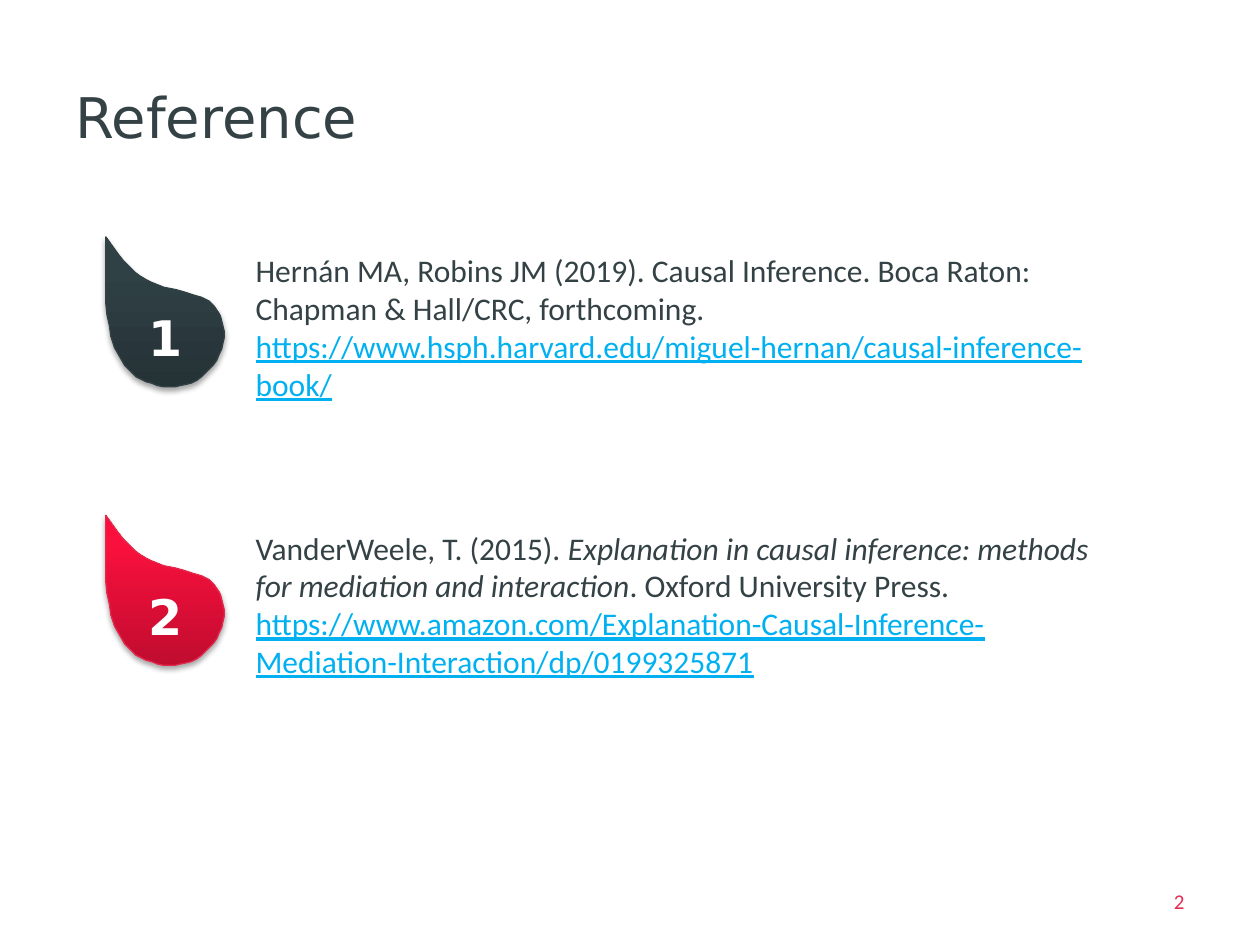
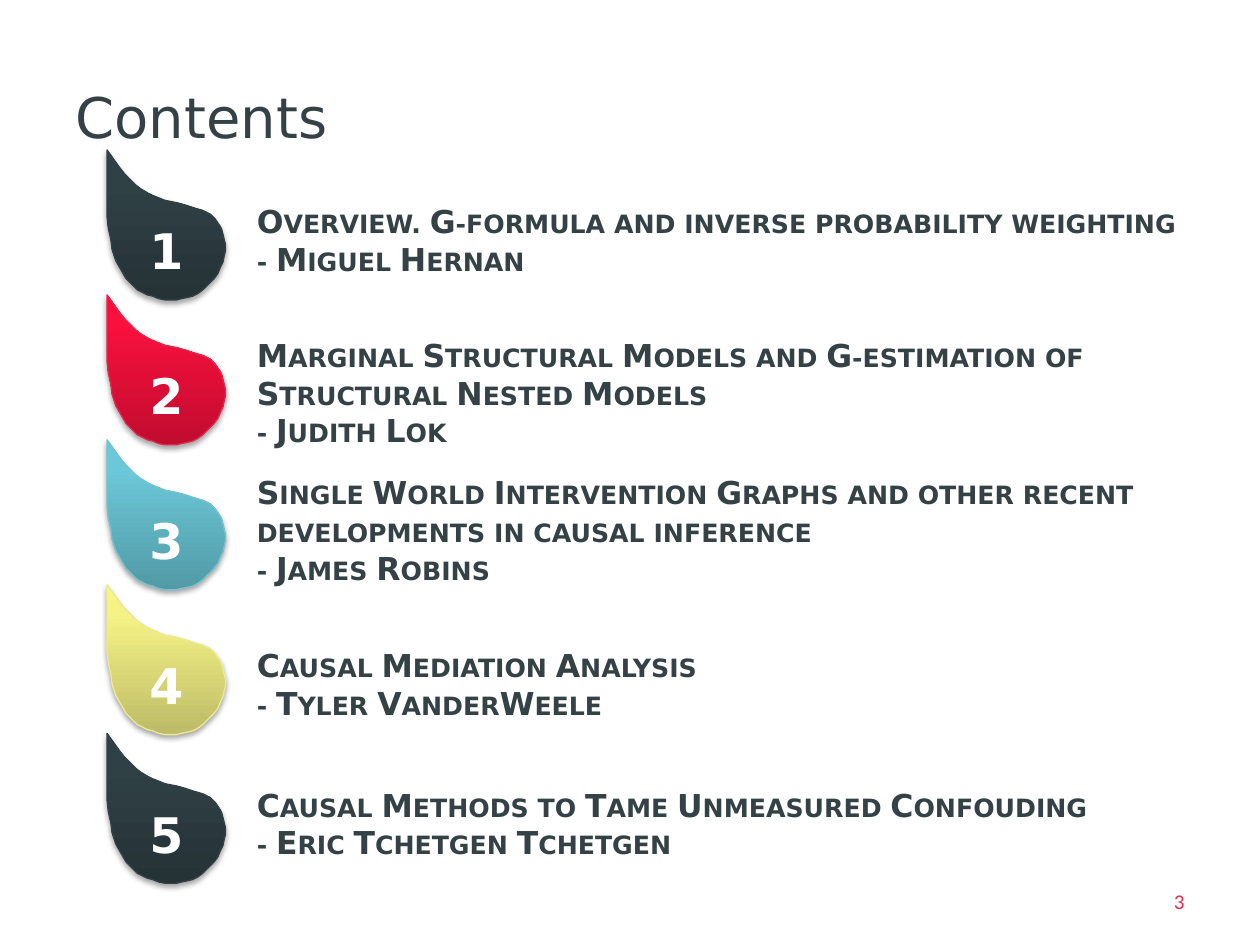
from dataclasses import dataclass

import pptx
import pptx.dml.color
import pptx.enum.text
import pptx.oxml.ns
import pptx.util
from lxml import etree

PX = 9144  # EMU in one px, 100 px to the inch

# Shared colours and fonts
INK, WHITE, LINK, NUMBER = "344246", "FFFFFF", "00B0F0", "E52C50"
HEADING_FONT, BODY_FONT = "DejaVu Sans", "Calibri"
MIDDLE = pptx.enum.text.MSO_ANCHOR.MIDDLE
BOTTOM = pptx.enum.text.MSO_ANCHOR.BOTTOM
LEFT = pptx.enum.text.PP_ALIGN.LEFT
CENTER = pptx.enum.text.PP_ALIGN.CENTER
RIGHT = pptx.enum.text.PP_ALIGN.RIGHT

# Outline of the numbered drop, relative to its tip
DROP_OUTLINE = [
    (0, 0), (10, 14), (14, 19), (19, 24), (23, 28), (27, 31), (32, 34),
    (36, 36), (41, 38), (46, 40), (51, 41), (56, 42), (63, 44), (69, 46),
    (76, 48), (82, 51), (84, 53), (86, 55), (88, 58), (90, 61), (91, 63),
    (92, 67), (93, 71), (94, 75), (94, 80), (93, 84), (92, 89), (90, 93),
    (88, 98), (85, 102), (82, 105), (79, 108), (76, 111), (72, 114),
    (68, 116), (64, 117), (59, 118), (55, 119), (50, 119), (46, 119),
    (41, 118), (36, 116), (32, 115), (28, 113), (24, 111), (21, 108),
    (18, 105), (15, 102), (11, 95), (7, 88), (4, 79), (3, 71), (1, 62),
    (0, 53), (0, 43), (0, 34),
]


@dataclass(frozen=True)
class Palette:
    dark: str
    mid: str
    light: str
    line: str


@dataclass(frozen=True)
class Span:
    text: str
    color: str = INK
    italic: bool = False
    underline: bool = False


@dataclass(frozen=True)
class Reference:
    drop_top: int
    text_top: int
    citation: list[Span]
    link: str


@dataclass(frozen=True)
class Topic:
    drop_top: int
    text_top: int
    width: int
    height: int
    title: str
    speaker: str


PALETTES = [
    Palette("253236", "304146", "304247", "324145"),
    Palette("C00C2F", "F9103D", "FE0B3B", "E4274B"),
    Palette("529AA6", "6BC8D8", "69CADB", "76C2CF"),
    Palette("BDBB67", "F5F385", "F9F684", "EDEB91"),
]

REFERENCES = [
    Reference(188, 194, [
        Span("Hernán MA, Robins JM (2019). Causal Inference. Boca Raton: "
             "Chapman & Hall/CRC, forthcoming."),
    ], "https://www.hsph.harvard.edu/miguel-hernan/causal-inference-book/"),
    Reference(409, 414, [
        Span("VanderWeele, T. (2015). "),
        Span("Explanation in causal inference: methods for mediation and "
             "interaction", italic=True),
        Span(". Oxford University Press."),
    ], "https://www.amazon.com/Explanation-Causal-Inference-Mediation-"
       "Interaction/dp/0199325871"),
]

TOPICS = [
    Topic(119, 155, 793, 71,
          "Overview. G-formula and inverse probability weighting",
          "Miguel Hernan"),
    Topic(234, 261, 793, 101,
          "Marginal Structural Models and G-estimation of Structural Nested "
          "Models", "Judith Lok"),
    Topic(349, 370, 793, 101,
          "Single World Intervention Graphs and other recent developments in "
          "causal inference", "James Robins"),
    Topic(464, 507, 391, 71, "Causal Mediation Analysis",
          "Tyler VanderWeele"),
    Topic(582, 618, 694, 71, "Causal Methods to Tame Unmeasured Confouding",
          "Eric Tchetgen Tchetgen"),
]


def rgb(color: str) -> pptx.dml.color.RGBColor:
    return pptx.dml.color.RGBColor.from_string(color)


def add_node(parent, tag: str, **attributes):
    return etree.SubElement(parent, pptx.oxml.ns.qn(tag), attributes)


def add_span(para, text: str, *, size: int, font: str, color: str = INK,
             bold: bool = False, italic: bool = False,
             underline: bool = False, small_caps: bool = False) -> None:
    span = para.add_run()
    span.text = text
    span.font.size = pptx.util.Pt(size)
    span.font.name = font
    span.font.color.rgb = rgb(color)
    span.font.bold = bold
    span.font.italic = italic
    span.font.underline = underline
    if small_caps:
        span.font._element.set("cap", "small")


def add_box(page, left: int, top: int, width: int, height: int,
            lines: list[list[Span]], *, align=LEFT, grow: bool = False,
            **style) -> None:
    box = page.shapes.add_textbox(left * PX, top * PX, width * PX, height * PX)
    frame = box.text_frame
    frame.word_wrap = True
    frame.vertical_anchor = MIDDLE
    if grow:
        frame.auto_size = pptx.enum.text.MSO_AUTO_SIZE.SHAPE_TO_FIT_TEXT
    for index, spans in enumerate(lines):
        para = frame.add_paragraph() if index else frame.paragraphs[0]
        para.alignment = align
        for span in spans:
            add_span(para, span.text, color=span.color, italic=span.italic,
                     underline=span.underline, **style)


def add_drop(page, left: int, top: int, number: int) -> None:
    palette = PALETTES[(number - 1) % len(PALETTES)]
    builder = page.shapes.build_freeform(0, 0, scale=PX)
    builder.add_line_segments(DROP_OUTLINE[1:], close=True)
    drop = builder.convert_to_shape(left * PX, top * PX)
    drop.line.color.rgb = rgb(palette.line)
    drop.line.width = pptx.util.Pt(0.75)

    # Gradient from the dark foot up to the light tip
    drop.fill.gradient()
    drop.fill.gradient_angle = 90
    properties = drop._element.spPr
    stops = properties.find(".//" + pptx.oxml.ns.qn("a:gsLst"))
    for stop in list(stops):
        stops.remove(stop)
    shades = (palette.dark, palette.mid, palette.light)
    for position, shade in zip((0, 80, 100), shades):
        stop = add_node(stops, "a:gs", pos=str(position * 1000))
        add_node(stop, "a:srgbClr", val=shade)

    # Soft shadow below
    drop.shadow.inherit = False
    effects = properties.find(pptx.oxml.ns.qn("a:effectLst"))
    shadow = add_node(effects, "a:outerShdw", blurRad="40000", dist="23000",
                      dir="5400000", rotWithShape="0")
    shade = add_node(shadow, "a:srgbClr", val="000000")
    add_node(shade, "a:alpha", val="35000")

    # Number
    frame = drop.text_frame
    frame.word_wrap = True
    frame.vertical_anchor = BOTTOM
    frame.margin_left = frame.margin_right = 10 * PX
    frame.margin_top, frame.margin_bottom = 5 * PX, 16 * PX
    para = frame.paragraphs[0]
    para.alignment = CENTER
    add_span(para, str(number), size=28, font=HEADING_FONT, color=WHITE,
             bold=True)


def add_page(deck, title: str, number: int):
    page = deck.slides.add_slide(deck.slide_layouts[6])
    add_box(page, 50, 30, 710, 125, [[Span(title)]], size=32,
            font=HEADING_FONT)
    add_box(page, 717, 695, 233, 40, [[Span(str(number), NUMBER)]],
            align=RIGHT, size=12, font=BODY_FONT)
    return page


def build_references(deck) -> None:
    page = add_page(deck, "Reference", 2)
    for number, entry in enumerate(REFERENCES, 1):
        add_drop(page, 84, entry.drop_top, number)
        link = Span(entry.link, LINK, underline=True)
        add_box(page, 193, entry.text_top, 685, 131, [entry.citation, [link]],
                grow=True, size=18, font=BODY_FONT)


def build_contents(deck) -> None:
    page = add_page(deck, "Contents", 3)
    for number, topic in enumerate(TOPICS, 1):
        add_drop(page, 85, topic.drop_top, number)
        lines = [[Span(topic.title)], [Span(f"- {topic.speaker}")]]
        add_box(page, 194, topic.text_top, topic.width, topic.height, lines,
                grow=True, size=18, font=HEADING_FONT, bold=True,
                small_caps=True)


def main() -> None:
    deck = pptx.Presentation()
    deck.slide_width, deck.slide_height = 1000 * PX, 750 * PX
    build_references(deck)
    build_contents(deck)
    deck.save("out.pptx")


if __name__ == "__main__":
    main()
